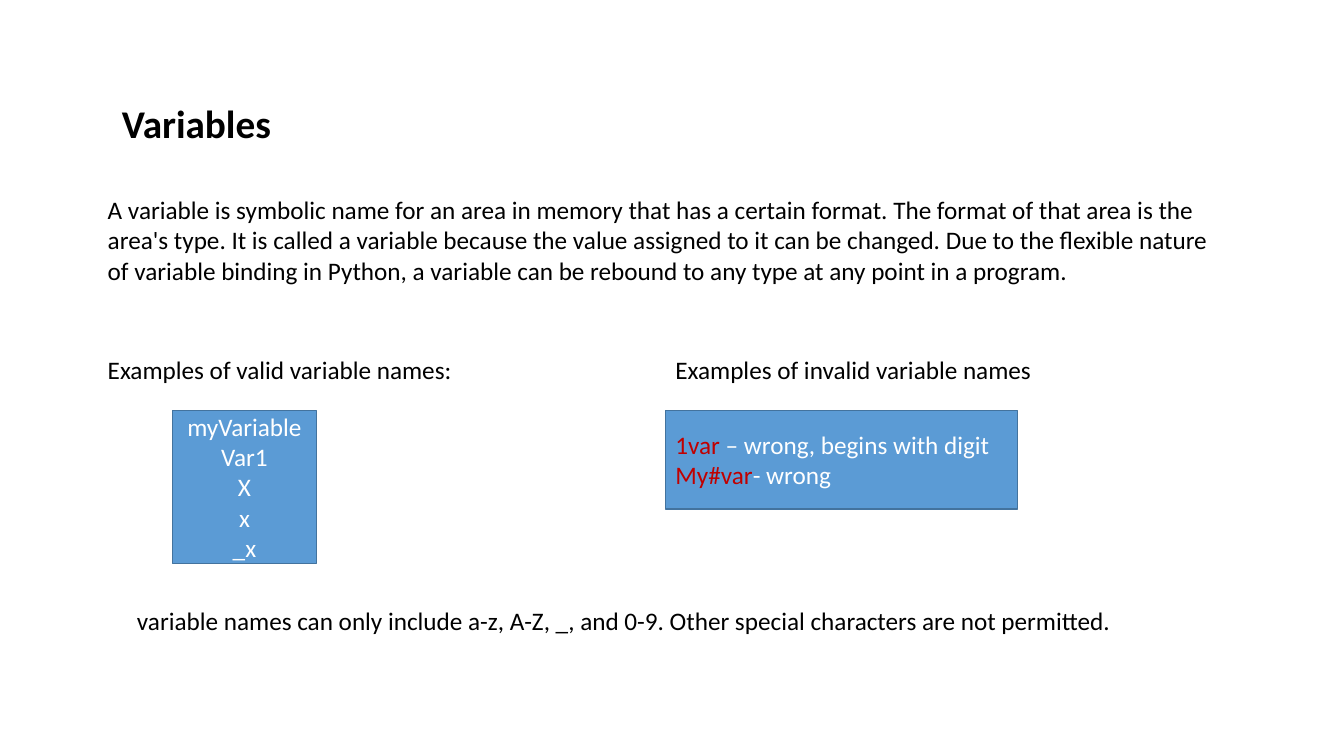
from dataclasses import dataclass

from pptx import Presentation
from pptx.dml.color import RGBColor
from pptx.enum.shapes import MSO_SHAPE as Shape
from pptx.enum.text import MSO_ANCHOR as Anchor, MSO_AUTO_SIZE as AutoSize, PP_ALIGN as Align
from pptx.util import Inches, Pt

BLACK, WHITE, RED = "000000", "FFFFFF", "C00000"
BLUE, DARK_BLUE = "5B9BD5", "43739E"
LEFT, RIGHT = 0.97, 6.6
LABEL_TOP, BOX_TOP = 3.47, 4.07

Line = list[tuple[str, str]]  # (text, colour) runs of one paragraph


@dataclass
class Label:
    text: str
    left: float
    top: float
    width: float
    height: float = 0.4
    size: int = 18
    bold: bool = False
    wrap: bool = False


@dataclass
class ExampleBox:
    lines: list[Line]
    left: float
    width: float
    height: float
    align: Align


LABELS = [
    Label("Variables", 1.11, 0.94, 1.7, 0.57, size=28, bold=True),
    Label(
        "A variable is symbolic name for an area in memory that has a certain format. "
        "The format of that area is the area's type. It is called a variable because "
        "the value assigned to it can be changed. Due to the flexible nature of variable "
        "binding in Python, a variable can be rebound to any type at any point in a program.",
        LEFT, 1.88, 11.25, 1.01, wrap=True,
    ),
    Label("Examples of valid variable names:", LEFT, LABEL_TOP, 3.65),
    Label("Examples of invalid variable names", RIGHT, LABEL_TOP, 3.77),
    Label(
        "variable names can only include a-z, A-Z, _, and 0-9. "
        "Other special characters are not permitted.",
        1.26, 5.96, 9.98,
    ),
]

VALID_NAMES = ["myVariable", "Var1", "X", "x", "_x"]
EXAMPLE_BOXES = [
    ExampleBox([[(name, WHITE)] for name in VALID_NAMES], 1.71, 1.43, 1.52, Align.CENTER),
    ExampleBox(
        [
            [("1var ", RED), ("– wrong, begins with digit", WHITE)],
            [("My#var", RED), ("- wrong", WHITE)],
        ],
        RIGHT, 3.49, 0.98, Align.LEFT,
    ),
]


def color(value: str) -> RGBColor:
    return RGBColor.from_string(value)


def write_text(frame, lines: list[Line], *, size: int = 18, bold: bool = False,
               align: Align = Align.LEFT, anchor: Anchor = Anchor.TOP,
               wrap: bool = True) -> None:
    frame.word_wrap = wrap
    frame.vertical_anchor = anchor
    for index, line in enumerate(lines):
        paragraph = frame.add_paragraph() if index else frame.paragraphs[0]
        paragraph.alignment = align
        for text, run_color in line:
            run = paragraph.add_run()
            run.text = text
            run.font.name = "Calibri"
            run.font.size = Pt(size)
            run.font.bold = bold
            run.font.color.rgb = color(run_color)


def add_label(slide, label: Label) -> None:
    box = slide.shapes.add_textbox(
        Inches(label.left), Inches(label.top), Inches(label.width), Inches(label.height))
    write_text(box.text_frame, [[(label.text, BLACK)]],
               size=label.size, bold=label.bold, wrap=label.wrap)
    box.text_frame.auto_size = AutoSize.SHAPE_TO_FIT_TEXT


def add_example_box(slide, box: ExampleBox) -> None:
    shape = slide.shapes.add_shape(
        Shape.RECTANGLE, Inches(box.left), Inches(BOX_TOP), Inches(box.width), Inches(box.height))
    shape.shadow.inherit = False
    shape.fill.solid()
    shape.fill.fore_color.rgb = color(BLUE)
    shape.line.color.rgb = color(DARK_BLUE)
    shape.line.width = Pt(1)
    write_text(shape.text_frame, box.lines, align=box.align, anchor=Anchor.MIDDLE)


def main() -> None:
    presentation = Presentation()
    presentation.slide_width = Inches(13.33)
    presentation.slide_height = Inches(7.5)
    slide = presentation.slides.add_slide(presentation.slide_layouts[6])
    for label in LABELS:
        add_label(slide, label)
    for box in EXAMPLE_BOXES:
        add_example_box(slide, box)
    presentation.save("out.pptx")


if __name__ == "__main__":
    main()
